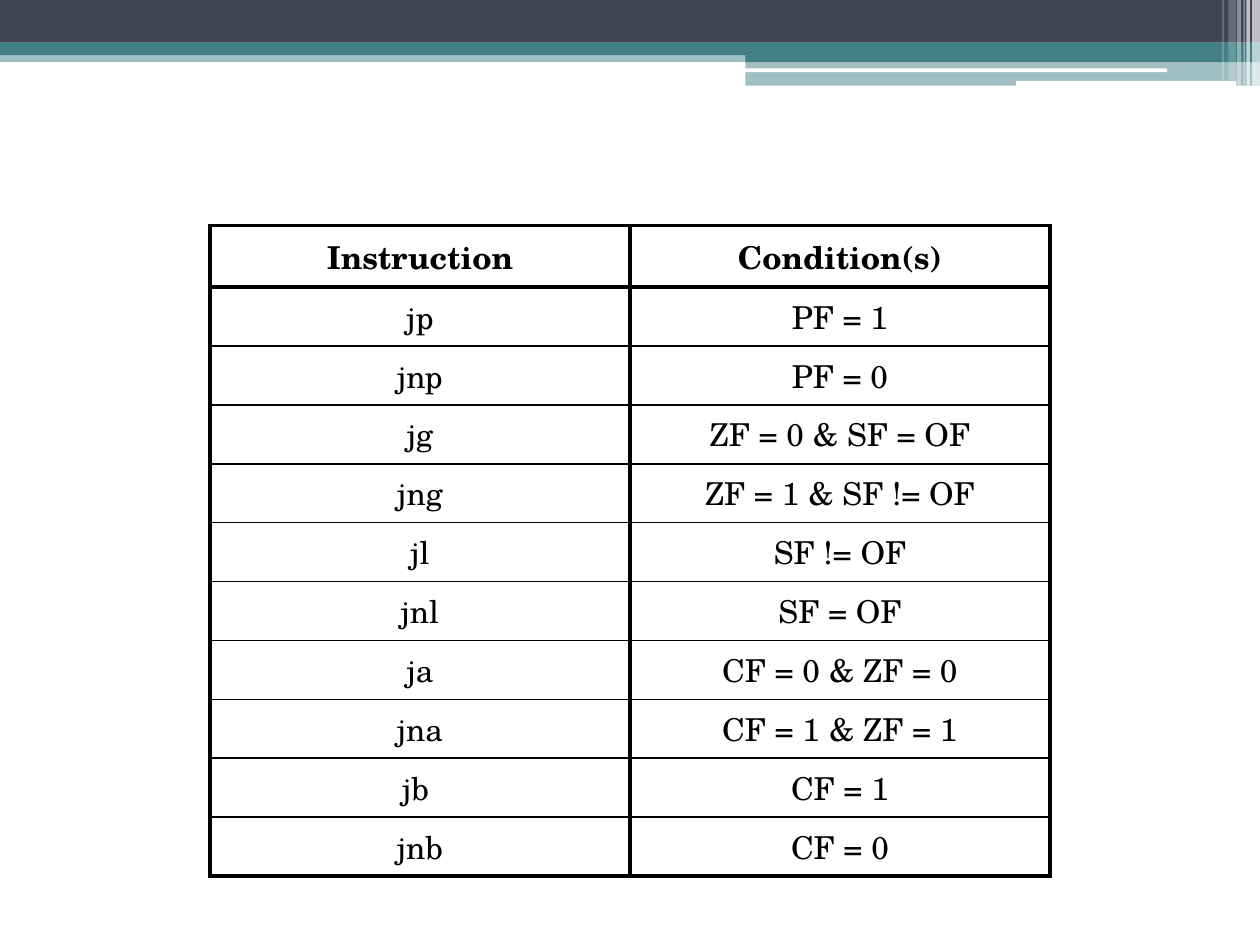
from lxml import etree
from pptx import Presentation
from pptx.dml.color import RGBColor
from pptx.enum.shapes import MSO_SHAPE
from pptx.enum.text import MSO_ANCHOR, PP_ALIGN
from pptx.oxml.ns import qn
from pptx.util import Pt

RECTANGLE = MSO_SHAPE.RECTANGLE
ROUNDED = MSO_SHAPE.ROUNDED_RECTANGLE
MIDDLE = MSO_ANCHOR.MIDDLE
CENTER = PP_ALIGN.CENTER

FONT = "TeX Gyre Schola"
COLORS = {"navy": "424456", "teal": "438086", "white": "FFFFFF", "black": "000000"}
THICK, THIN = 2.25, 1


def add_band(kind, left, top, width, height, color, opacity=100):
    shape = slide.shapes.add_shape(kind, Pt(left), Pt(top), Pt(width), Pt(height))
    shape.shadow.inherit = False
    shape.line.fill.background()
    shape.fill.solid()
    shape.fill.fore_color.rgb = RGBColor.from_string(COLORS[color])
    if opacity < 100:
        color_element = shape.fill._xPr.find(qn("a:solidFill"))[0]
        etree.SubElement(color_element, qn("a:alpha"), val=str(opacity * 1000))


def set_borders(cell, widths):
    properties = cell._tc.get_or_add_tcPr()
    for index, (side, width) in enumerate(widths.items()):
        line = etree.Element(qn(f"a:ln{side}"), w=str(Pt(width)))
        fill = etree.SubElement(line, qn("a:solidFill"))
        etree.SubElement(fill, qn("a:srgbClr"), val=COLORS["black"])
        properties.insert(index, line)


presentation = Presentation()
presentation.slide_width = Pt(720)
presentation.slide_height = Pt(540)
slide = presentation.slides.add_slide(presentation.slide_layouts[6])

# Header bands: kind, left, top, width, height, color, opacity
bands = [
    (RECTANGLE, 0, 28.8, 720, 6.6, "teal", 50),
    (RECTANGLE, 0, 0, 720, 24.4, "navy", 100),
    (RECTANGLE, 0, 24.3, 720, 7.2, "teal", 100),
    (RECTANGLE, 426, 28.3, 294, 7.2, "teal", 100),
    (RECTANGLE, 426, 34.7, 294, 14.2, "teal", 50),
    (ROUNDED, 425.6, 39.15, 241.2, 2.15, "white", 100),
    (ROUNDED, 580.5, 46.3, 126, 2.9, "white", 100),
]
for band in bands:
    add_band(*band)

# Translucent stripes at the right edge: left, width, height, opacity
stripes = [
    (715.5, 4.5, 49, 65),
    (712.2, 2.1, 49, 65),
    (710.6, 0.7, 49, 60),
    (707, 2.1, 49, 40),
    (702, 4.3, 46, 20),
    (698.5, 0.7, 46, 30),
]
for left, width, height, opacity in stripes:
    add_band(RECTANGLE, left, 0, width, height, "white", opacity)

# Table of conditional jumps
rows = [
    ("Instruction", "Condition(s)"),
    ("jp", "PF = 1"),
    ("jnp", "PF = 0"),
    ("jg", "ZF = 0 & SF = OF"),
    ("jng", "ZF = 1 & SF != OF"),
    ("jl", "SF != OF"),
    ("jnl", "SF = OF"),
    ("ja", "CF = 0 & ZF = 0"),
    ("jna", "CF = 1 & ZF = 1"),
    ("jb ", "CF = 1"),
    ("jnb", "CF = 0"),
]
row_height = 29.2
table = slide.shapes.add_table(
    len(rows), 2, Pt(120), Pt(129), Pt(480), Pt(row_height * len(rows))
).table
table.horz_banding = False
last = len(rows) - 1
for row_index, texts in enumerate(rows):
    table.rows[row_index].height = Pt(row_height)
    for column_index, text in enumerate(texts):
        cell = table.cell(row_index, column_index)
        cell.text = text
        cell.vertical_anchor = MIDDLE
        cell.fill.background()
        paragraph = cell.text_frame.paragraphs[0]
        paragraph.alignment = CENTER
        paragraph.font.name = FONT
        paragraph.font.size = Pt(18)
        paragraph.font.bold = row_index == 0
        paragraph.font.color.rgb = RGBColor.from_string(COLORS["black"])
        set_borders(cell, {
            "L": THICK,
            "R": THICK,
            "T": THICK if row_index <= 1 else THIN,
            "B": THICK if row_index in (0, last) else THIN,
        })

presentation.save("out.pptx")
